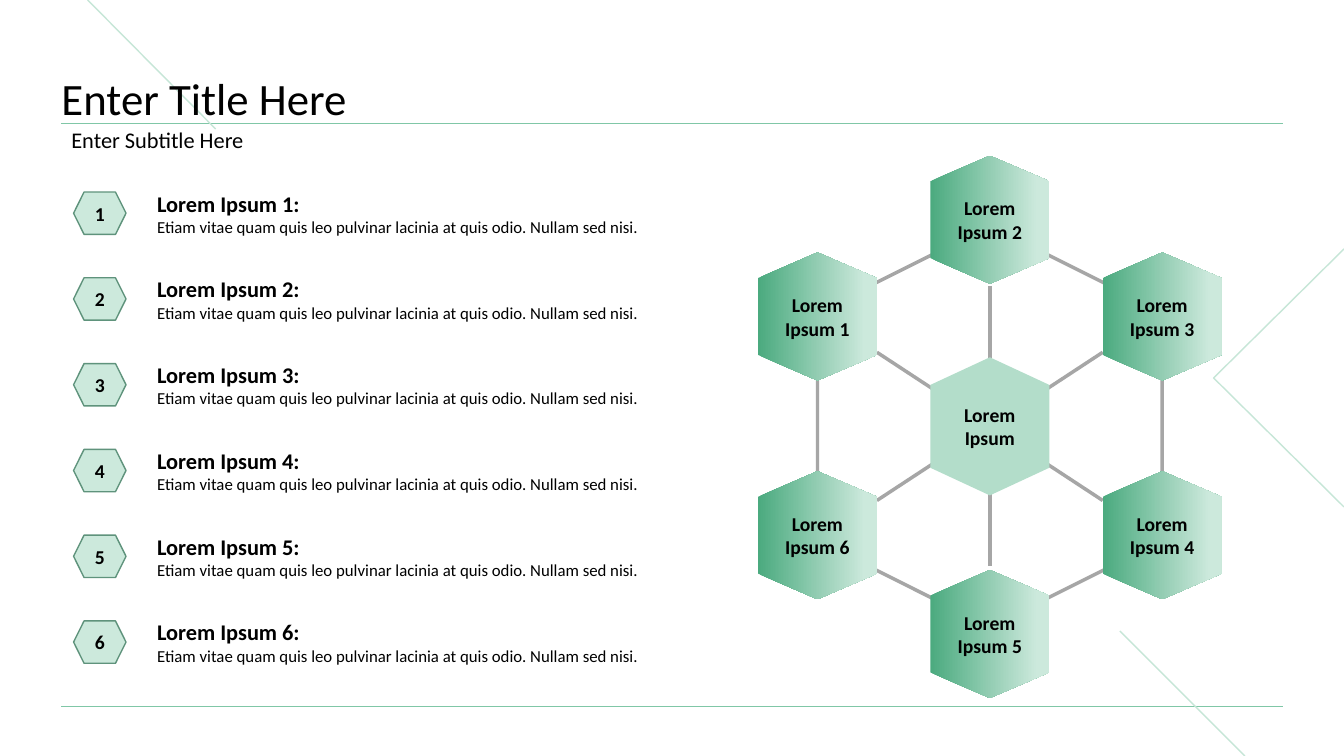
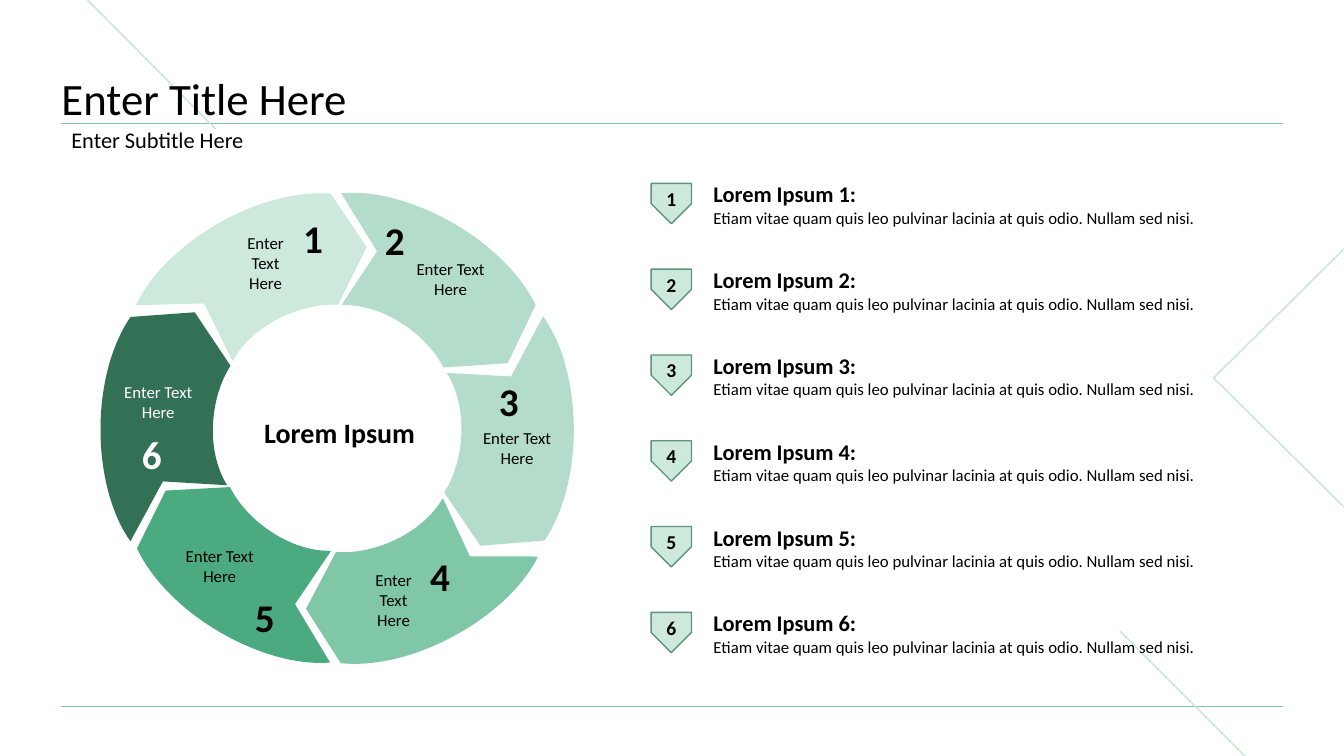
import lxml.etree
import pptx
import pptx.dml.color
import pptx.enum.shapes
import pptx.enum.text
import pptx.oxml.ns
import pptx.util

RGB = pptx.dml.color.RGBColor
BLACK = RGB(0x00, 0x00, 0x00)
WHITE = RGB(0xFF, 0xFF, 0xFF)
GRAY = RGB(0xA6, 0xA6, 0xA6)
PALE = RGB(0xCC, 0xE9, 0xDC)
TRIM = RGB(0xC6, 0xE6, 0xD7)
MINT = RGB(0xB3, 0xDD, 0xCA)
SAGE = RGB(0x80, 0xC7, 0xA7)
GREEN = RGB(0x4B, 0xAA, 0x7F)
FOREST = RGB(0x32, 0x71, 0x55)
EDGE = RGB(0x5F, 0x93, 0x7C)

SHAPE = pptx.enum.shapes.MSO_SHAPE
ALIGN = pptx.enum.text.PP_ALIGN
ANCHOR = pptx.enum.text.MSO_ANCHOR
NO_INSET = dict(margin_left=0, margin_right=0, margin_top=0, margin_bottom=0)
MIDDLE = dict(vertical_anchor=ANCHOR.MIDDLE)
LABEL = dict(vertical_anchor=ANCHOR.MIDDLE, **NO_INSET)
HEADING = dict(vertical_anchor=ANCHOR.BOTTOM, **NO_INSET)
NO_WRAP = dict(word_wrap=False)

prs = pptx.Presentation()
prs.slide_height = pptx.util.Inches(7.5)
prs.slide_width = prs.slide_height * 16 // 9
ROWS = 75
CELL = prs.slide_height // ROWS
COLS = prs.slide_width / CELL
LEFT, RIGHT = 6.1, 127.3
PITCH = 8.51


def add_box(s, kind, x, y, w, h, paras=(), fmt=MIDDLE, color=BLACK,
            align=ALIGN.CENTER, fill=None, line=None, width=1, rotation=0):
    frame = [round(v * CELL) for v in (x, y, w, h)]
    if kind is None:
        sp = s.shapes.add_textbox(*frame)
    else:
        sp = s.shapes.add_shape(kind, *frame)
        sp.shadow.inherit = False
        sp.rotation = rotation
        if fill is None:
            sp.fill.background()
        else:
            sp.fill.solid()
            sp.fill.fore_color.rgb = fill
        if line is None:
            sp.line.fill.background()
        else:
            sp.line.color.rgb = line
            sp.line.width = pptx.util.Pt(width)
    tf = sp.text_frame
    tf.word_wrap = True
    for name, value in fmt.items():
        setattr(tf, name, value)
    for i, (text, size, bold) in enumerate(paras):
        p = tf.add_paragraph() if i else tf.paragraphs[0]
        p.alignment = align
        r = p.add_run()
        r.text = text
        for name, value in dict(name="Calibri", size=pptx.util.Pt(size), bold=bold).items():
            setattr(r.font, name, value)
        r.font.color.rgb = color
    return sp


def add_line(s, x1, y1, x2, y2, color, width):
    c = s.shapes.add_connector(pptx.enum.shapes.MSO_CONNECTOR.STRAIGHT,
                               *[round(v * CELL) for v in (x1, y1, x2, y2)])
    c.line.color.rgb = color
    c.line.width = pptx.util.Pt(width)
    lxml.etree.SubElement(c._element.spPr, pptx.oxml.ns.qn("a:effectLst"))


pages = [
    dict(kind=SHAPE.FLOWCHART_PREPARATION, icon=(7.3, 19.05, 5.2, 4.2), turn=0, text=(14.6, 16.9)),
    dict(kind=SHAPE.PENTAGON, icon=(64.6, 18.2, 4, 4), turn=90, text=(69.8, 16)),
]
for page in pages:
    s = prs.slides.add_slide(prs.slide_layouts[6])
    for y in (70.1, 12.25):
        add_line(s, LEFT, y, RIGHT, y, SAGE, 0.5)
    add_line(s, 111.1, 62.6, 123.5, ROWS, TRIM, 1)
    add_line(s, 8.7, 0, 21.4, 12.8, TRIM, 1)
    corners = [(round(x * CELL), round(y * CELL)) for x, y in
               ((COLS, ROWS / 2 - 12.8), (120.4, ROWS / 2), (COLS, ROWS / 2 + 12.8))]
    chevron = s.shapes.build_freeform(*corners[0])
    chevron.add_line_segments(corners[1:], close=False)
    sp = chevron.convert_to_shape()
    sp.shadow.inherit = False
    sp.fill.background()
    sp.line.color.rgb = TRIM
    sp.line.width = pptx.util.Pt(1)
    title = add_box(s, None, LEFT, 4.4, RIGHT - LEFT, 8, [("Enter Title Here", 32, False)],
                    HEADING, align=ALIGN.LEFT)
    subtitle = add_box(s, None, LEFT, 12.3, RIGHT - LEFT, 3.4,
                       [("Enter Subtitle Here", 16, False)], align=ALIGN.LEFT)
    for sp in (title, subtitle):
        sp.text_frame.paragraphs[0].line_spacing = 0.9

    for i in range(6):
        x, y, w, h = page["icon"]
        sp = add_box(s, page["kind"], x, y + i * PITCH, w, h, [(str(i + 1), 14, True)],
                     fill=PALE, line=EDGE, rotation=page["turn"])
        if page["turn"]:
            sp.text_frame._txBody.bodyPr.set("vert", "vert270")
        x, y = page["text"]
        add_box(s, None, x, y + i * PITCH, 57.1, 8.5, [
            (f"Lorem Ipsum {i + 1}:", 16, True),
            ("Etiam vitae quam quis leo pulvinar lacinia at quis odio. Nullam sed nisi.", 12, False),
        ], align=ALIGN.LEFT)

s = prs.slides[0]
cx, cy = 98.2, 42.3
add_box(s, SHAPE.HEXAGON, cx - 19.9, cy - 17.1, 39.8, 34.2, line=GRAY, width=2.5, rotation=90)
for dx, dy in ((11.2, -7.35), (-11.2, -7.35), (0, -13.9)):
    add_line(s, cx + dx, cy + dy, cx - dx, cy - dy, GRAY, 2.5)
hexes = [(-17.1, -10.9), (0, -20.5), (17.1, -10.9), (17.1, 10.8), (0, 20.6), (-17.1, 10.8), (0, 0)]
for i, (dx, dy) in enumerate(hexes, 1):
    x, y = cx + dx, cy + dy
    hub = i == len(hexes)
    w = 13.7 if hub else 12.7
    sp = add_box(s, SHAPE.FLOWCHART_PREPARATION, x - w / 2, y - 5.9, w, 11.8, fill=MINT, rotation=90)
    if not hub:
        sp.fill.gradient()
        sp.fill.gradient_angle = 90
        for stop, position, color in zip(sp.fill.gradient_stops, (0, 0.9), (GREEN, PALE)):
            stop.position = position
            stop.color.rgb = color
    name = "Lorem Ipsum" if hub else f"Lorem Ipsum {i}"
    add_box(s, None, x - 4.5, y - 2.35, 9, 4.7, [(name, 14, True)], LABEL)

s = prs.slides[1]
outer = [(-11.7, 1.3), (-8.1, -4.1), (1.9, -8.3), (9.1, -6.6)]
inner = [(8.1, 4.4), (4.4, 3.6), (-0.7, 5.1), (-3.1, 8.3)]
tip, notch = (11.8, -0.8), (-5, 2.2)
outline = outer + [tip] + inner + [notch]

segments = [
    (24.85, 27.15, 351, PALE, BLACK, (22.2, 22, 8.3, 8.2), (29.1, 20.8)),
    (42.25, 27.45, 50.7, MINT, BLACK, (38.9, 24.5, 11.6, 6.4), (37.2, 21)),
    (50.95, 42.85, 110.4, MINT, BLACK, (45.5, 41.2, 11.6, 6.4), (48.5, 36.9)),
    (41.85, 58.05, 172.4, SAGE, BLACK, (34.9, 55.4, 8.3, 8.2), (41.7, 54.3)),
    (24.35, 57.35, 231.4, GREEN, BLACK, (16, 52.9, 11.6, 6.4), (24.3, 58.4)),
    (15.85, 42.25, 290.8, FOREST, WHITE, (9.9, 36.7, 11.6, 6.4), (13.1, 42.2)),
]
for i, (x, y, angle, fill, color, label, number) in enumerate(segments, 1):
    points = [(round((x + px) * CELL), round((y + py) * CELL)) for px, py in outline]
    segment = s.shapes.build_freeform(*points[0])
    segment.add_line_segments(points[1:], close=True)
    sp = segment.convert_to_shape()
    steps = list(sp._element.find(".//" + pptx.oxml.ns.qn("a:path")))
    for start in (1, 6):
        curve = lxml.etree.Element(pptx.oxml.ns.qn("a:cubicBezTo"))
        steps[start].addprevious(curve)
        for step in steps[start:start + 3]:
            curve.append(step[0])
            step.getparent().remove(step)
    sp.rotation = angle
    sp.shadow.inherit = False
    sp.fill.solid()
    sp.fill.fore_color.rgb = fill
    sp.line.fill.background()
    add_box(s, None, *label, [("Enter Text Here", 12, False)], color=color)
    add_box(s, None, *number, 4, 5.7, [(str(i), 28, True)], NO_WRAP, color, ALIGN.LEFT)
add_box(s, None, 25.1, 40.7, 17.2, 4.4, [("Lorem Ipsum", 20, True)], NO_WRAP)

prs.save("out.pptx")
